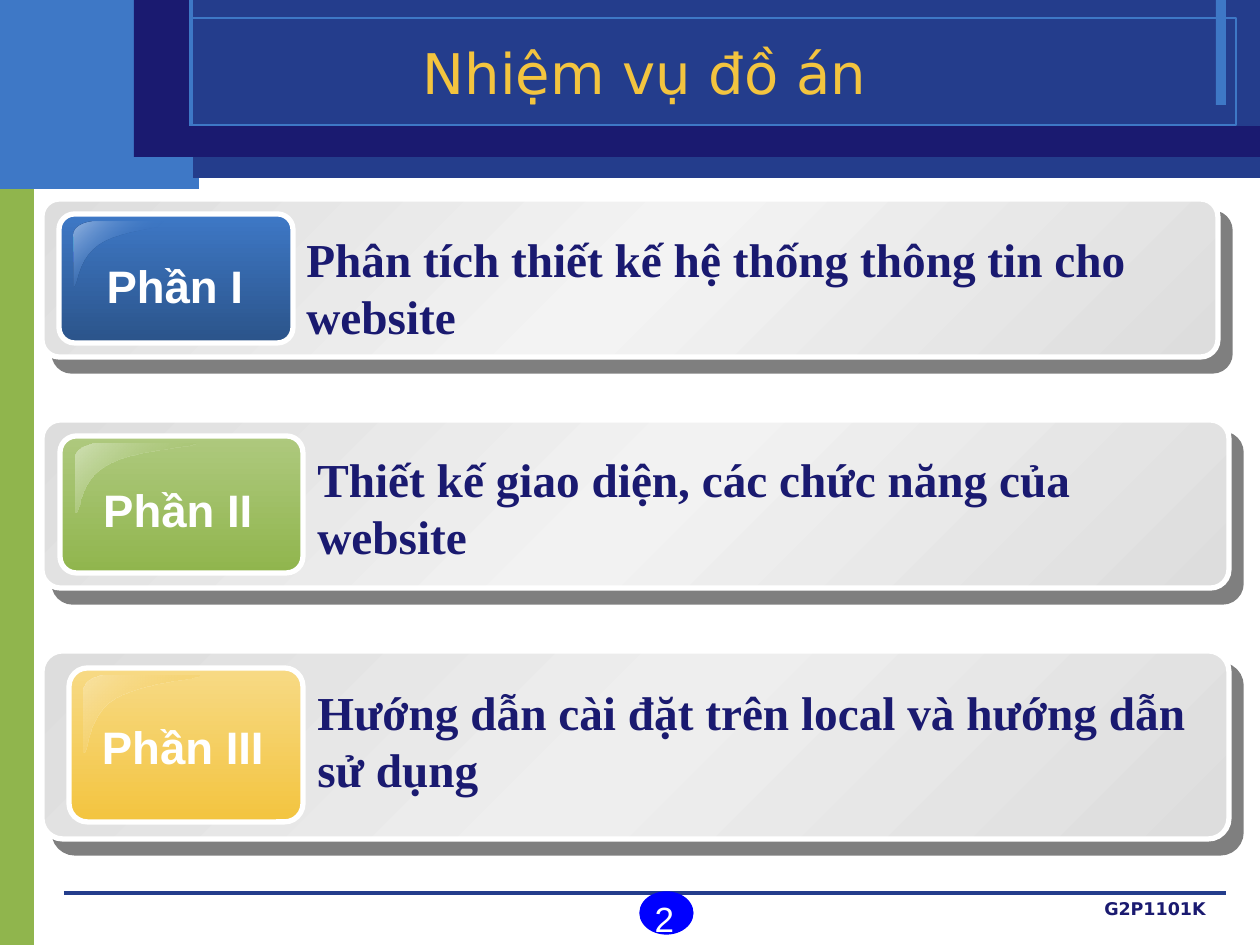
from lxml import etree
from pptx import Presentation
from pptx.dml.color import RGBColor
from pptx.enum.shapes import MSO_CONNECTOR, MSO_SHAPE
from pptx.enum.text import MSO_ANCHOR, MSO_AUTO_SIZE, PP_ALIGN
from pptx.oxml.ns import qn
from pptx.util import Pt

RECTANGLE, ROUNDED = MSO_SHAPE.RECTANGLE, MSO_SHAPE.ROUNDED_RECTANGLE
CIRCLE, STRAIGHT = MSO_SHAPE.FLOWCHART_CONNECTOR, MSO_CONNECTOR.STRAIGHT
LEFT, CENTER, RIGHT = PP_ALIGN.LEFT, PP_ALIGN.CENTER, PP_ALIGN.RIGHT
TOP, MIDDLE = MSO_ANCHOR.TOP, MSO_ANCHOR.MIDDLE

PX = 7257  # EMU per px, 126 px to the inch
THEME = {
    "sky": "3E78C6", "blue": "243D8C", "navy": "1A1A70", "green": "90B54D",
    "gold": "F3C43F", "white": "FFFFFF", "badge": "0000FF", "edge": "DDDDDD",
    "title": dict(name="DejaVu Sans", size=Pt(32), bold=False, color="F3C43F"),
    "label": dict(name="Arial", size=Pt(26), bold=True, color="FFFFFF"),
    "task": dict(name="Times New Roman", size=Pt(27), bold=True, color="1A1A70"),
    "number": dict(name="Arial", size=Pt(20), bold=False, color="FFFFFF"),
    "footer": dict(name="DejaVu Sans", size=Pt(10), bold=True, color="1A1A70"),
}


def paint(shape, fill=None, line=None, width=0, angle=90):
    """Fill is a colour, a list of (percent, colour, opacity) stops, or None."""
    shape.shadow.inherit = False
    if fill is None:
        shape.fill.background()
    elif isinstance(fill, str):
        shape.fill.solid()
        shape.fill.fore_color.rgb = RGBColor.from_string(fill)
    else:
        shape.fill.gradient()
        gradient = shape._element.spPr.find(qn("a:gradFill"))
        gradient.find(qn("a:lin")).set("ang", str(angle * 60000))
        stops = gradient.find(qn("a:gsLst"))
        for old in list(stops):
            stops.remove(old)
        for position, color, opacity in fill:
            stop = etree.SubElement(stops, qn("a:gs"), pos=str(position * 1000))
            value = etree.SubElement(stop, qn("a:srgbClr"), val=color)
            etree.SubElement(value, qn("a:alpha"), val=str(opacity * 1000))
    if line:
        shape.line.color.rgb = RGBColor.from_string(line)
        shape.line.width = Pt(width)
    else:
        shape.line.fill.background()
    return shape


def write(shape, text, style, align=LEFT, wrap=True, anchor=TOP):
    frame = shape.text_frame
    frame.text = text
    settings = dict(word_wrap=wrap, vertical_anchor=anchor, auto_size=MSO_AUTO_SIZE.NONE)
    for name, value in settings.items():
        setattr(frame, name, value)
    paragraph = frame.paragraphs[0]
    paragraph.alignment = align
    font = paragraph.runs[0].font
    for name, value in THEME[style].items():
        if name == "color":
            font.color.rgb = RGBColor.from_string(value)
        else:
            setattr(font, name, value)


presentation = Presentation()
presentation.slide_width, presentation.slide_height = 1260 * PX, 945 * PX
slide = presentation.slides.add_slide(presentation.slide_layouts[5])
shapes = slide.shapes

# Side strip and header bands, back to front
for box, fill, line in [
    ((0, 135, 34, 810), "green", None),
    ((0, 0, 199, 189), "sky", None),
    ((193, 0, 1067, 178), "blue", None),
    ((1216, 0, 10, 105), "sky", None),
    ((25, 18, 1211, 107), None, "sky"),
    ((136, 126, 1124, 31), "navy", None),
    ((134, 0, 55, 157), "navy", None),
]:
    band = shapes.add_shape(RECTANGLE, *[value * PX for value in box])
    paint(band, THEME.get(fill), THEME.get(line))

# Footer rule
rule = shapes.add_connector(STRAIGHT, 64 * PX, 893 * PX, 1226 * PX, 893 * PX)
rule.line.color.rgb = RGBColor.from_string(THEME["blue"])
rule.line.width = Pt(0)
etree.SubElement(rule._element.spPr, qn("a:effectLst"))

# Title, above the header bands
title = shapes.title
title.left, title.top, title.width, title.height = [v * PX for v in (103, 33, 1084, 78)]
write(title, "Nhiệm vụ đồ án", "title", CENTER, anchor=MIDDLE)
shapes._spTree.append(title._element)

# Gloss outline: Bezier curves in percent of its width and height
GLOSS_CURVES = [
    [(19, 0), (8, 0), (0, 10), (0, 20)],
    [(0, 100), (5, 100), (2, 53), (27, 30)],
    [(27, 30), (52, 8), (100, 6), (99, 0)],
]
STEPS = 12
gloss_outline = []
for curve in GLOSS_CURVES:
    for step in range(STEPS + 1):
        t = step / STEPS
        weights = ((1 - t) ** 3, 3 * t * (1 - t) ** 2, 3 * t * t * (1 - t), t ** 3)
        gloss_outline.append([sum(w * point[axis] for w, point in zip(weights, curve))
                              for axis in (0, 1)])

# Task rows: bar, bar middle colour, button, button colours, gloss, label, task
ROWS = [
    ((42, 199, 1176, 158), "F3F3F3", (59, 214, 234, 129), (THEME["sky"], "2B548A"),
     [(0, "96B5E0", 100), (50, THEME["sky"], 0), (100, "96B5E0", 0)],
     "Phần I", (75, 252), "Phân tích thiết kế hệ thống thông tin cho website", (294, 224, 896)),
    ((42, 420, 1187, 168), "F2F2F2", (60, 436, 243, 137), ("AEC97E", THEME["green"]),
     [(0, "D0E0B4", 100), (100, THEME["green"], 0)],
     "Phần II", (78, 476), "Thiết kế giao diện, các chức năng của website", (305, 444, 913)),
    ((42, 651, 1187, 188), "EEEEEE", (69, 668, 234, 154), ("F7DA85", THEME["gold"]),
     [(0, "F9E2A2", 100), (100, THEME["gold"], 0)],
     "Phần III", (83, 713), "Hướng dẫn cài đặt trên local và hướng dẫn sử dụng",
     (305, 677, 926)),
]
for bar_box, middle, button_box, colors, gloss_stops, label, label_at, task, task_at in ROWS:
    bar = shapes.add_shape(ROUNDED, *[value * PX for value in bar_box])
    bar.adjustments[0] = 0.11
    edge = THEME["edge"]
    paint(bar, [(0, edge, 100), (50, middle, 100), (100, edge, 100)],
          THEME["white"], 3, angle=45)
    effects = bar._element.spPr.find(qn("a:effectLst"))
    shadow = etree.SubElement(effects, qn("a:outerShdw"), dist=str(Pt(10.6)),
                              dir=str(49 * 60000), algn="ctr", rotWithShape="0")
    shade = etree.SubElement(shadow, qn("a:srgbClr"), val="000000")
    etree.SubElement(shade, qn("a:alpha"), val="50000")

    button = shapes.add_shape(ROUNDED, *[value * PX for value in button_box])
    button.adjustments[0] = 0.12
    paint(button, [(0, colors[0], 100), (100, colors[1], 100)], THEME["white"], 3)

    left, top, width, height = button_box
    points = [(round((left + 15 + x * width / 200) * PX), round((top + 8 + y * height / 200) * PX))
              for x, y in gloss_outline]
    builder = shapes.build_freeform(*points[0])
    builder.add_line_segments(points[1:], close=True)
    paint(builder.convert_to_shape(), gloss_stops, angle=45)

    label_box = shapes.add_textbox(*[value * PX for value in (*label_at, 200, 72)])
    write(label_box, label, "label", CENTER, wrap=False)
    task_box = shapes.add_textbox(*[value * PX for value in (*task_at, 126)])
    write(task_box, task, "task")

# Page number badge and group code
badge = shapes.add_shape(CIRCLE, *[value * PX for value in (640, 892, 53, 42)])
paint(badge, THEME["badge"], THEME["badge"], 0.75)
for box, text, style, align in [
    ((640, 891, 49, 55), "2", "number", CENTER),
    ((966, 892, 252, 32), "G2P1101K", "footer", RIGHT),
]:
    write(shapes.add_textbox(*[value * PX for value in box]), text, style, align)

presentation.save("out.pptx")
